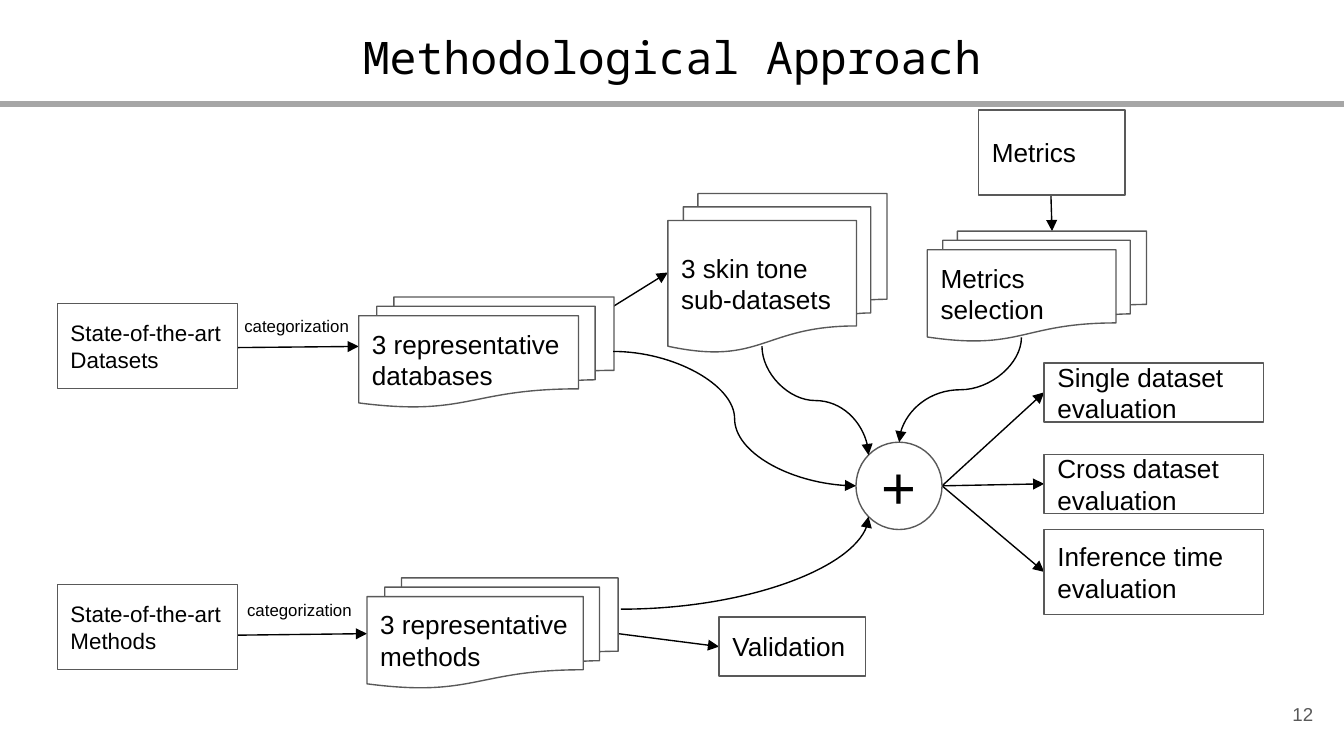
"""Build the Methodological Approach flow diagram slide."""
from lxml.etree import SubElement
from pptx import Presentation
from pptx.dml.color import RGBColor
from pptx.enum.shapes import MSO_CONNECTOR, MSO_SHAPE
from pptx.enum.text import MSO_ANCHOR, MSO_AUTO_SIZE, PP_ALIGN
from pptx.oxml.ns import qn
from pptx.util import Pt

COLORS = {"box": "FFFFFF", "outline": "595959", "text": "000000", "rule": "A6A6A6"}
PROCESS = MSO_SHAPE.FLOWCHART_PROCESS
DOCUMENTS = MSO_SHAPE.FLOWCHART_MULTIDOCUMENT
JUNCTION = MSO_SHAPE.FLOWCHART_CONNECTOR

TITLE = ("Methodological Approach", (24.5, 8.6, 671, 47.5))
BOXES = [
    (PROCESS, "Metrics", (524.2, 59, 78.5, 45.4), 14),
    (DOCUMENTS, "3 skin tone\nsub-datasets", (357.8, 103.7, 117.4, 85), 14),
    (PROCESS, "Single dataset evaluation", (559.4, 194.4, 117.4, 31.7), 14),
    (PROCESS, "Cross dataset evaluation", (559.4, 243.4, 117.4, 31.7), 14),
    (PROCESS, "Inference time evaluation", (559.4, 283.7, 117.4, 45.4), 14),
    (JUNCTION, "+", (458.6, 236.9, 46.1, 46.8), 32),
    (PROCESS, "Validation", (385.2, 330.5, 78.5, 31.7), 14),
    (DOCUMENTS, "Metrics selection", (496.8, 123.8, 117.4, 59), 14),
    (PROCESS, "State-of-the-art\vMethods", (30.7, 313.2, 96.5, 45.4), 12),
    (PROCESS, "State-of-the-art\nDatasets", (30.7, 162.7, 96.5, 45.4), 12),
    (DOCUMENTS, "3 representative databases", (192.2, 159.1, 136.8, 59), 14),
    (DOCUMENTS, "3 representative methods", (196.6, 309.6, 134.6, 59), 14),
]
LABELS = [
    ("categorization", (125.3, 313.9, 71.3, 25.2), 9, "text", PP_ALIGN.LEFT, MSO_ANCHOR.TOP),
    ("categorization", (123.8, 162, 71.3, 25.2), 9, "text", PP_ALIGN.LEFT, MSO_ANCHOR.TOP),
    ("12", (667.4, 367.2, 43.2, 31), 10, "outline", PP_ALIGN.RIGHT, MSO_ANCHOR.MIDDLE),
]
STRAIGHT_ARROWS = [
    ((504.7, 260.3), (559.4, 210.2)),
    ((504.7, 260.3), (559.4, 259.2)),
    ((504.7, 260.3), (559.4, 306.4)),
    ((101.5, 340.6), (196.6, 339.5)),
    ((97.9, 186.5), (192.2, 185.6)),
    ((328.5, 164.2), (357.8, 146)),
    ((331.2, 339.5), (385.2, 346.4)),
    ((563, 104.4), (563.6, 123.8)),
]
SIDEWAYS_CURVE = ((328.5, 188.3), (458.6, 260.3))
QUARTER_CURVE = ((332.6, 326.4), (465.3, 276.8))
DOWNWARD_CURVES = [((408.2, 185.4), (465.3, 243.8)), ((547.2, 180.7), (481.7, 236.9))]


def color(name):
    return RGBColor.from_string(COLORS[name])


def write(shape, text, size, font="Arial", ink="text", align=PP_ALIGN.LEFT, anchor=MSO_ANCHOR.MIDDLE):
    frame = shape.text_frame
    frame.text = text
    frame.word_wrap = True
    frame.auto_size = MSO_AUTO_SIZE.NONE
    frame.vertical_anchor = anchor
    frame.margin_left = frame.margin_right = frame.margin_top = frame.margin_bottom = Pt(7.2)
    for paragraph in frame.paragraphs:
        paragraph.alignment = align
        paragraph.font.name = font
        paragraph.font.size = Pt(size)
        paragraph.font.color.rgb = color(ink)


def add_line(slide, start, end, kind=MSO_CONNECTOR.STRAIGHT, ink="text", width=0.75, arrow=True):
    connector = slide.shapes.add_connector(kind, *(Pt(value) for value in start + end))
    connector.line.color.rgb = color(ink)
    connector.line.width = Pt(width)
    properties = connector._element.spPr
    if arrow:
        SubElement(properties.find(qn("a:ln")), qn("a:tailEnd"), type="triangle")
    SubElement(properties, qn("a:effectLst"))
    return connector


def add_downward_curve(slide, start, end):
    (left, top), (right, bottom) = start, end
    center_x, center_y = (left + right) / 2, (top + bottom) / 2
    sign = 1 if right > left else -1
    half_x, half_y = sign * (bottom - top) / 2, sign * (right - left) / 2
    connector = add_line(
        slide,
        (center_x + half_x, center_y - half_y),
        (center_x - half_x, center_y + half_y),
        MSO_CONNECTOR.CURVE,
    )
    transform = connector._element.spPr.find(qn("a:xfrm"))
    transform.set("rot", str((180 + 90 * sign) * 60000))


def main():
    presentation = Presentation()
    presentation.slide_width, presentation.slide_height = Pt(720), Pt(405)
    slide = presentation.slides.add_slide(presentation.slide_layouts[5])

    title = slide.shapes.title
    text, place = TITLE
    title.left, title.top, title.width, title.height = (Pt(value) for value in place)
    write(title, text, 24, "Noto Sans Mono", align=PP_ALIGN.CENTER, anchor=MSO_ANCHOR.TOP)
    add_line(slide, (0, 55.6), (720, 55.6), ink="rule", width=3, arrow=False)

    for start, end in STRAIGHT_ARROWS:
        add_line(slide, start, end)

    for kind, text, place, size in BOXES:
        box = slide.shapes.add_shape(kind, *(Pt(value) for value in place))
        box.shadow.inherit = False
        box.fill.solid()
        box.fill.fore_color.rgb = color("box")
        box.line.color.rgb = color("outline")
        box.line.width = Pt(0.75)
        write(box, text, size)

    for text, place, size, ink, align, anchor in LABELS:
        label = slide.shapes.add_textbox(*(Pt(value) for value in place))
        write(label, text, size, ink=ink, align=align, anchor=anchor)

    add_line(slide, *SIDEWAYS_CURVE, MSO_CONNECTOR.CURVE)
    quarter = add_line(slide, *QUARTER_CURVE, MSO_CONNECTOR.CURVE)
    quarter._element.spPr.find(qn("a:prstGeom")).set("prst", "curvedConnector2")
    for start, end in DOWNWARD_CURVES:
        add_downward_curve(slide, start, end)

    presentation.save("out.pptx")


if __name__ == "__main__":
    main()
